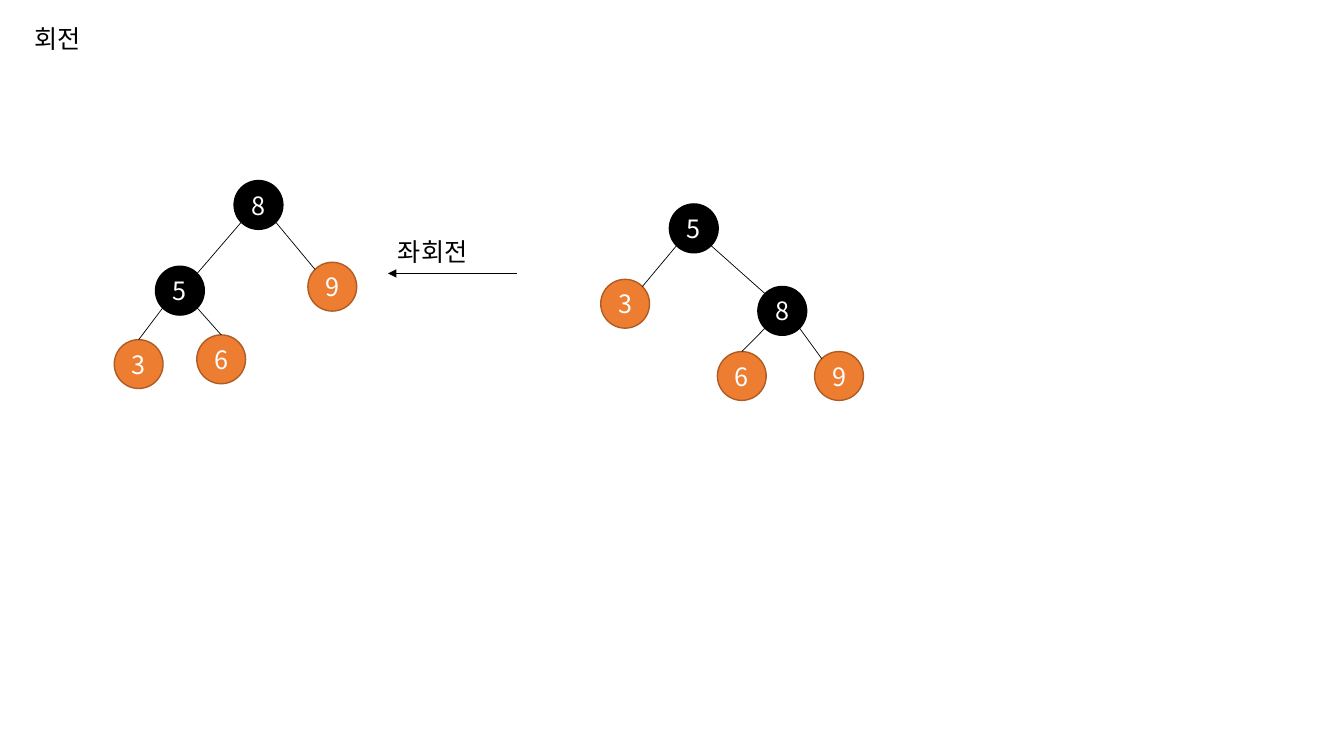
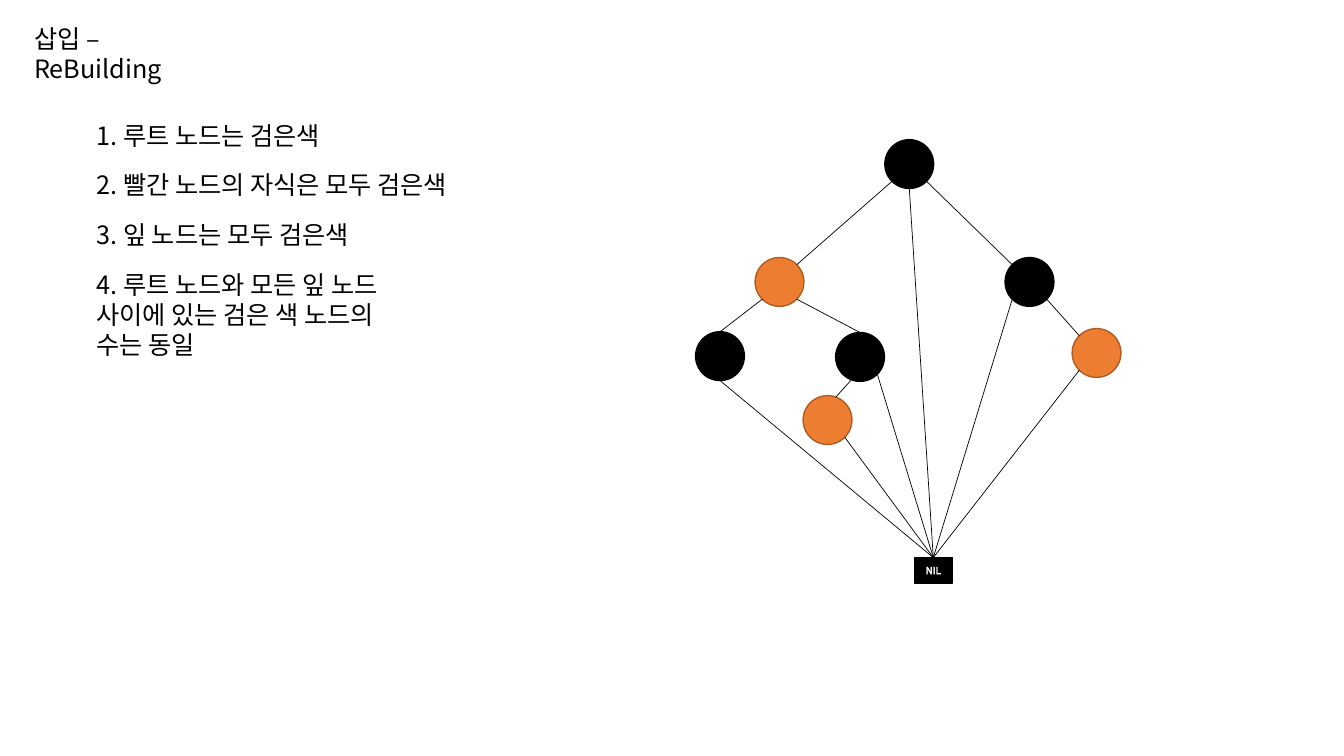
from math import cos, radians, sin

from lxml.etree import SubElement
from pptx import Presentation
from pptx.dml.color import RGBColor
from pptx.enum.shapes import MSO_CONNECTOR, MSO_SHAPE
from pptx.enum.text import MSO_ANCHOR, MSO_AUTO_SIZE, PP_ALIGN
from pptx.oxml import parse_xml
from pptx.oxml.ns import nsdecls, qn
from pptx.util import Cm, Pt

COLORS = {"black": "000000", "red": "ED7D31", "red_edge": "AF5C24", "white": "FFFFFF"}
NODE_EDGES = {"black": "black", "red": "red_edge"}
FONT = "Noto Sans CJK KR"
NODE_SIZE = 1.23
LINE_HEIGHT = 1.02

# Attachment sites on a node, as clockwise angles from its right side
SITES = {"top": 270, "top right": 315, "bottom right": 45,
         "bottom": 90, "bottom left": 135, "top left": 225}


def color(name):
    return RGBColor.from_string(COLORS[name])


# Text
def style_text(frame, size, color_name):
    for para in frame.paragraphs:
        for span in para.runs:
            span.font.size = Pt(size)
            span.font.name = FONT
            span.font.color.rgb = color(color_name)
            SubElement(span.font._element, qn("a:ea"), typeface=FONT)


def add_text(page, text, left, top, width, lines=1, wrap=False):
    box = page.shapes.add_textbox(Cm(left), Cm(top), Cm(width), Cm(LINE_HEIGHT * lines))
    frame = box.text_frame
    frame.text = text
    frame.word_wrap = wrap
    frame.auto_size = MSO_AUTO_SIZE.SHAPE_TO_FIT_TEXT
    style_text(frame, 18, "black")


def add_title(page, text, width, lines=1):
    add_text(page, text, 0.61, 0.46, width, lines, wrap=lines > 1)


# Shapes
def add_block(page, kind, fill, left, top, width, height, label="", size=18):
    block = page.shapes.add_shape(kind, Cm(left), Cm(top), Cm(width), Cm(height))
    block.shadow.inherit = False
    block.fill.solid()
    block.fill.fore_color.rgb = color(fill)
    block.line.color.rgb = color(NODE_EDGES[fill])
    block.line.width = Pt(1)
    if label:
        frame = block.text_frame
        frame.text = label
        frame.word_wrap = False
        frame.vertical_anchor = MSO_ANCHOR.MIDDLE
        frame.paragraphs[0].alignment = PP_ALIGN.CENTER
        style_text(frame, size, "white")
    return block


def add_nil(page, left, top):
    nil = add_block(page, MSO_SHAPE.RECTANGLE, "black", left, top, 0.96, 0.64, "NIL", 7)
    outline = parse_xml(
        f'<a:ln {nsdecls("a")} w="{Pt(0.75)}"><a:solidFill>'
        f'<a:srgbClr val="{COLORS["white"]}"/></a:solidFill></a:ln>')
    nil.text_frame.paragraphs[0].runs[0].font._element.insert(0, outline)
    return nil


# Lines
def add_line(page, start, end, arrow=False):
    line = page.shapes.add_connector(MSO_CONNECTOR.STRAIGHT, *start, *end)
    line.line.color.rgb = color("black")
    line.line.width = Pt(0.5)
    if arrow:
        SubElement(line.line._get_or_add_ln(), qn("a:tailEnd"), type="triangle")
    SubElement(line._element.spPr, qn("a:effectLst"))


def site_point(block, site):
    angle = radians(SITES[site])
    return (round(block.left + block.width / 2 * (1 + cos(angle))),
            round(block.top + block.height / 2 * (1 + sin(angle))))


def add_edges(page, blocks, edges):
    for start, start_site, end, end_site in edges:
        add_line(page, site_point(blocks[start], start_site),
                 site_point(blocks[end], end_site))


def add_nodes(page, nodes, labelled=True):
    return {name: add_block(page, MSO_SHAPE.OVAL, fill, left, top, NODE_SIZE, NODE_SIZE,
                            name if labelled else "")
            for name, fill, left, top in nodes}


# Slides
def build_rotation(page):
    add_title(page, "회전", 1.8)

    # Tree after the left rotation
    rotated = add_nodes(page, [
        ("8", "black", 5.9, 4.55), ("5", "black", 3.92, 6.71),
        ("6", "red", 4.96, 8.44), ("3", "red", 2.88, 8.56), ("9", "red", 7.76, 6.61)])
    add_edges(page, rotated, [
        ("8", "bottom left", "5", "top right"), ("8", "bottom right", "9", "top left"),
        ("5", "bottom left", "3", "top"), ("5", "bottom right", "6", "top")])

    # Tree before it
    initial = add_nodes(page, [
        ("8", "black", 19.1, 7.22), ("5", "black", 16.87, 5.14),
        ("6", "red", 18.08, 8.86), ("3", "red", 15.14, 7.04), ("9", "red", 20.53, 8.86)])
    add_edges(page, initial, [
        ("8", "top left", "5", "bottom right"), ("8", "bottom right", "9", "top left"),
        ("5", "bottom left", "3", "top right"), ("8", "bottom left", "6", "top")])

    # Direction of the rotation
    add_line(page, (Cm(13.03), Cm(6.89)), (Cm(9.78), Cm(6.89)), arrow=True)
    add_text(page, "좌회전", 9.78, 5.84, 2.44)


def build_insertion(page):
    add_title(page, "삽입 – ReBuilding", 5.3, lines=2)

    # Tree with a shared leaf
    blocks = add_nodes(page, [
        ("root", "black", 22.3, 3.52), ("left", "red", 19.03, 6.49),
        ("left left", "black", 17.53, 8.36), ("left right", "black", 21.06, 8.38),
        ("right", "black", 25.33, 6.49), ("right right", "red", 27.02, 8.28),
        ("inserted", "red", 20.24, 9.97)], labelled=False)
    blocks["nil"] = add_nil(page, 23.04, 14.05)
    add_edges(page, blocks, [
        ("left", "top right", "root", "bottom left"),
        ("right", "top left", "root", "bottom right"),
        ("left left", "top", "left", "bottom left"),
        ("left right", "top", "left", "bottom right"),
        ("right right", "top left", "right", "bottom right")])
    add_edges(page, blocks, [("nil", "top", name, site) for name, site in (
        ("inserted", "bottom right"), ("left right", "bottom right"), ("root", "bottom"),
        ("right", "bottom left"), ("right right", "bottom left"), ("left left", "bottom"))])
    add_line(page, (Cm(21.06), Cm(10.01)), (Cm(21.52), Cm(9.5)))

    # Rules of the tree
    rules = [("1. 루트 노드는 검은색", 6.81, 1),
             ("2. 빨간 노드의 자식은 모두 검은색", 10.49, 1),
             ("3. 잎 노드는 모두 검은색", 7.7, 1),
             ("4. 루트 노드와 모든 잎 노드 사이에 있는 검은 색 노드의 수는 동일", 7.98, 2.5)]
    for index, (text, width, lines) in enumerate(rules):
        add_text(page, text, 2.18, 2.9 + 1.25 * index, width, lines, wrap=lines > 1)


def main():
    deck = Presentation()
    deck.slide_width, deck.slide_height = Cm(33.87), Cm(19.05)
    for build in (build_rotation, build_insertion):
        build(deck.slides.add_slide(deck.slide_layouts[6]))
    deck.save("out.pptx")


main()
